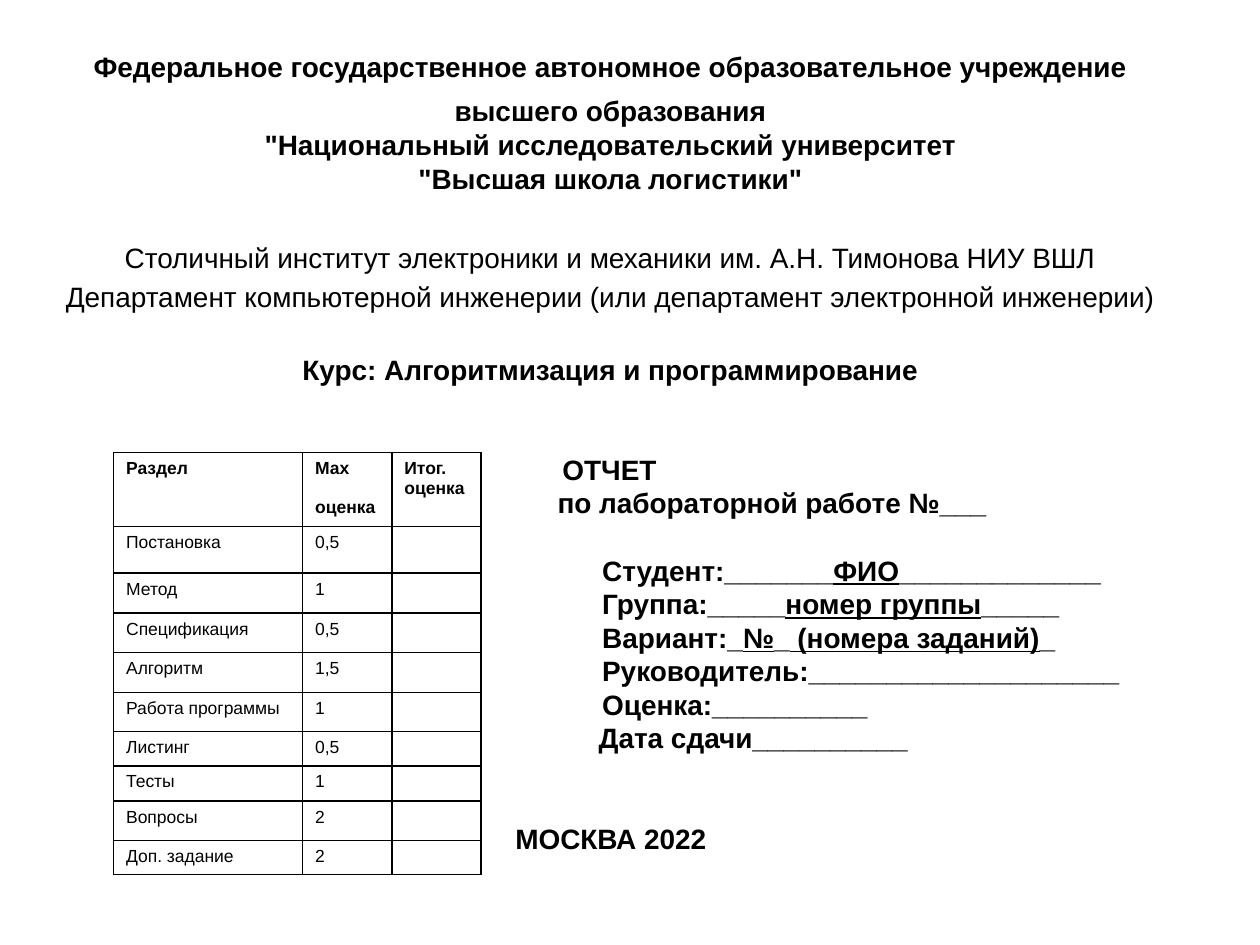
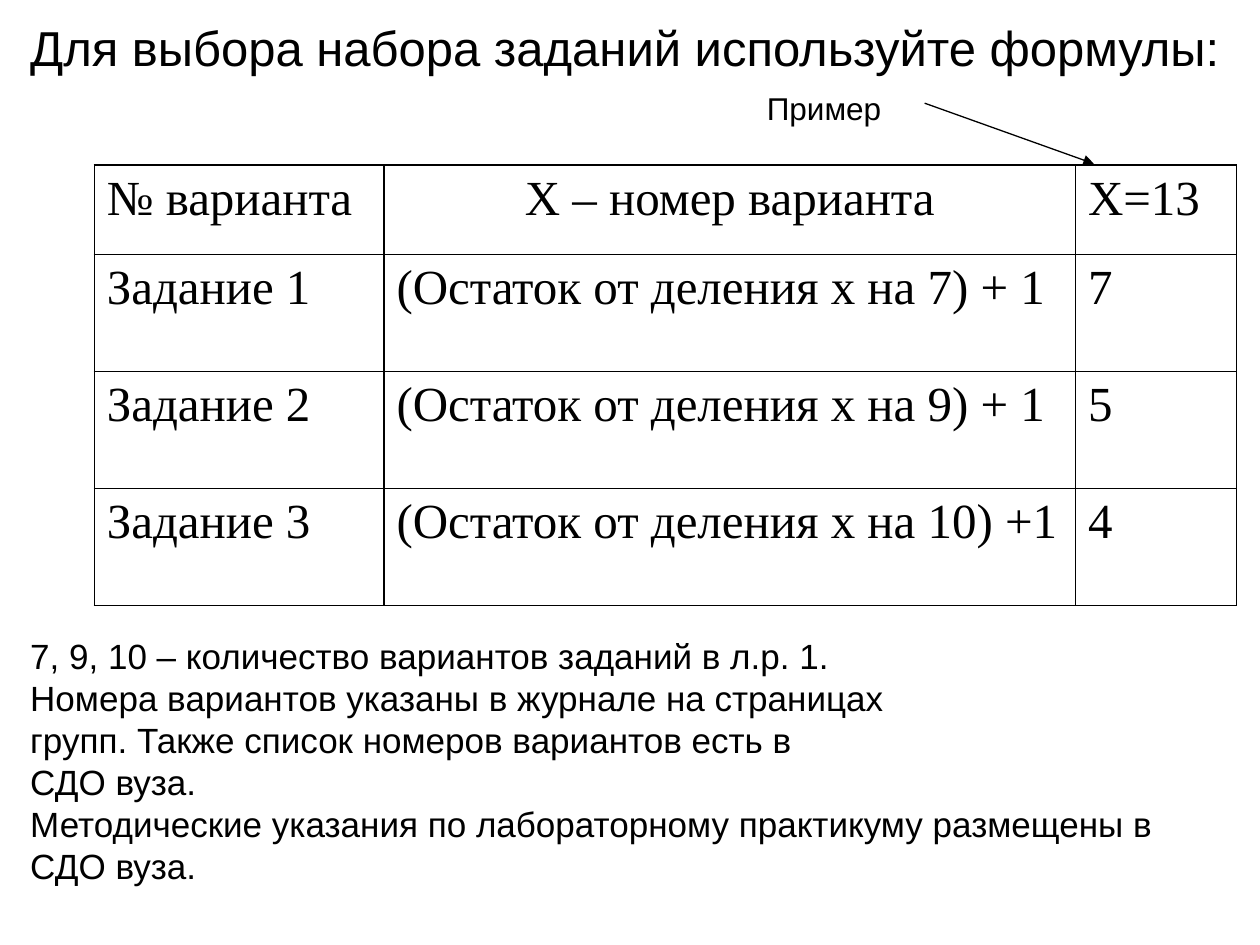
from lxml import etree
from pptx import Presentation, util as u
from pptx.dml.color import RGBColor
from pptx.enum import shapes, text
from pptx.oxml.ns import qn

BLACK, WHITE = "000000", "FFFFFF"
SANS, SERIF = "Arial", "Times New Roman"
LEFT, CENTER, JUSTIFY = text.PP_ALIGN.LEFT, text.PP_ALIGN.CENTER, text.PP_ALIGN.JUSTIFY

# Each line: space before in points, bold, runs; a run is (text, underlined).
COVER_HEADING = [
    (0, True, "Федеральное государственное автономное образовательное учреждение"),
    (6.2, True, "высшего образования"),
    (0, True, "\"Национальный исследовательский университет"),
    (0, True, "\"Высшая школа логистики\""),
    (26.2, False, "Столичный институт электроники и механики им. А.Н. Тимонова НИУ ВШЛ"),
    (3.2, False, "Департамент компьютерной инженерии (или департамент электронной инженерии)"),
    (22.5, True, "Курс: Алгоритмизация и программирование"),
]
# Each line: space before in points, left indent in cm, runs.
COVER_REPORT = [
    (37.8, 10.2, [("ОТЧЕТ", False)]),
    (0, 10.1, [("по лабораторной работе №___", False)]),
    (19.2, 11, [("Студент:_______", False), ("ФИО", True), ("_____________", False)]),
    (0, 11, [("Группа:_____", False), ("номер группы", True), ("_____", False)]),
    (0, 11, [("Вариант:_", False), ("№", True), ("_", False),
             (" (номера заданий)", True), ("_", False)]),
    (0, 11, [("Руководитель:____________________", False)]),
    (0, 11, [("Оценка:__________", False)]),
    (0, 10.93, [("Дата сдачи__________", False)]),
    (38.4, 9.25, [("МОСКВА 2022", False)]),
]
SCORES = [
    (["Раздел"], ["Маx", "оценка"], ["Итог.", "оценка"]),
    (["Постановка"], ["0,5"], []),
    (["Метод"], ["1"], []),
    (["Спецификация"], ["0,5"], []),
    (["Алгоритм"], ["1,5"], []),
    (["Работа программы"], ["1"], []),
    (["Листинг"], ["0,5"], []),
    (["Тесты"], ["1"], []),
    (["Вопросы"], ["2"], []),
    (["Доп. задание"], ["2"], []),
]
SCORE_COLUMNS = [3.81, 1.8, 1.8]
SCORE_ROWS = [1.27, 0.94, 0.81, 0.79, 0.81, 0.79, 0.69, 0.71, 0.79, 0.69]
FORMULAS = [
    (["№ варианта"], ["X – номер варианта"], ["X=13"]),
    (["Задание 1"], ["(Остаток от деления х на 7) + 1"], ["7"]),
    (["Задание 2"], ["(Остаток от деления х на 9) + 1"], ["5"]),
    (["Задание 3"], ["(Остаток от деления х на 10) +1"], ["4"]),
]
FORMULA_COLUMNS = [5.84, 13.94, 3.25]
FORMULA_ROWS = [1.8] + [2.36] * 3
NOTES = [
    "7, 9, 10 – количество вариантов заданий в л.р. 1.",
    "Номера вариантов указаны в журнале на страницах",
    "групп. Также список номеров вариантов есть в",
    "СДО вуза.",
    "Методические указания по лабораторному практикуму размещены в",
    "СДО вуза.",
]


def color(value):
    return RGBColor.from_string(value)


def add_run(paragraph, words, size, font=SANS, bold=False, underline=False):
    run = paragraph.add_run()
    run.text = words
    run.font.size, run.font.name = u.Pt(size), font
    run.font.bold, run.font.underline = bold, underline
    run.font.color.rgb = color(BLACK)


def next_paragraph(frame):
    first = frame.paragraphs[0]
    return frame.add_paragraph() if first.runs else first


def add_line(frame, runs, size, space=0, align=LEFT, bold=False, indent=0, pitch=None):
    paragraph = next_paragraph(frame)
    paragraph.alignment = align
    paragraph.space_before = u.Pt(space)
    if pitch:
        paragraph.line_spacing = u.Pt(pitch)
    if indent:
        paragraph._p.get_or_add_pPr().set("marL", str(u.Cm(indent)))
    for words, underline in runs:
        add_run(paragraph, words, size, bold=bold, underline=underline)


def add_text_box(slide, left, top, width, height, wrap=True, anchor=text.MSO_ANCHOR.TOP):
    box = slide.shapes.add_textbox(u.Cm(left), u.Cm(top), u.Cm(width), u.Cm(height))
    box.text_frame.word_wrap = wrap
    box.text_frame.vertical_anchor = anchor
    return box.text_frame


def set_borders(cell):
    properties = cell._tc.get_or_add_tcPr()
    for position, side in enumerate(("lnL", "lnR", "lnT", "lnB")):
        line = etree.Element(qn(f"a:{side}"), w=str(u.Pt(1)))
        fill = etree.SubElement(line, qn("a:solidFill"))
        etree.SubElement(fill, qn("a:srgbClr"), val=BLACK)
        properties.insert(position, line)


def add_grid(slide, left, top, columns, rows, content, style):
    frame = slide.shapes.add_table(len(rows), len(columns), u.Cm(left), u.Cm(top),
                                   u.Cm(sum(columns)), u.Cm(sum(rows)))
    table = frame.table
    table.first_row = table.horz_banding = False
    for column, width in zip(table.columns, columns):
        column.width = u.Cm(width)
    for row, height in zip(table.rows, rows):
        row.height = u.Cm(height)
    for r, row in enumerate(content):
        for c, lines in enumerate(row):
            cell = table.cell(r, c)
            cell.fill.solid()
            cell.fill.fore_color.rgb = color(WHITE)
            set_borders(cell)
            fill_cell(cell, lines, header=r == 0, middle=c == 1, **style)


def fill_cell(cell, lines, header, middle, size, font, bold_header, align, header_align, gap):
    if not lines:
        end = cell.text_frame.paragraphs[0]._p.get_or_add_endParaRPr()
        end.set("sz", str(size * 100))
    for number, words in enumerate(lines):
        paragraph = next_paragraph(cell.text_frame)
        paragraph.alignment = header_align if header and middle else align
        if number and middle:
            paragraph.space_before = u.Pt(gap)
        add_run(paragraph, words, size, font, bold=header and bold_header)


def add_arrow(slide, start, end):
    arrow = slide.shapes.add_connector(shapes.MSO_CONNECTOR.STRAIGHT,
                                       *(u.Cm(value) for value in start + end))
    arrow.line.color.rgb = color(BLACK)
    arrow.line.width = u.Pt(0.75)
    etree.SubElement(arrow.line._get_or_add_ln(), qn("a:tailEnd"), type="triangle")
    etree.SubElement(arrow._element.spPr, qn("a:effectLst"))


def build_cover(slide):
    frame = add_text_box(slide, 0.89, 0.79, 22.83, 16.66, anchor=text.MSO_ANCHOR.MIDDLE)
    for space, bold, words in COVER_HEADING:
        add_line(frame, [(words, False)], 16, space, CENTER, bold, pitch=19.2)
    for space, indent, runs in COVER_REPORT:
        add_line(frame, runs, 16, space, bold=True, indent=indent, pitch=19.2)
    add_grid(slide, 2.29, 9.12, SCORE_COLUMNS, SCORE_ROWS, SCORES,
             dict(size=10, font=SANS, bold_header=True, align=LEFT, header_align=LEFT, gap=11))


def build_formulas(slide):
    title = add_text_box(slide, 0.36, 0.23, 24.61, 2.59, wrap=False)
    add_line(title, [("Для выбора набора заданий используйте формулы:", False)], 28)
    add_grid(slide, 1.9, 3.33, FORMULA_COLUMNS, FORMULA_ROWS, FORMULAS,
             dict(size=28, font=SERIF, bold_header=False, align=JUSTIFY,
                  header_align=CENTER, gap=0))
    example = add_text_box(slide, 15.21, 1.68, 3.2, 1.02)
    add_line(example, [("Пример", False)], 18)
    add_arrow(slide, (18.64, 2.08), (22.05, 3.3))
    notes = add_text_box(slide, 0.36, 12.67, 24.69, 6.58)
    for words in NOTES:
        add_line(notes, [(words, False)], 20, pitch=24)


def main():
    """Build the report cover and the task selection slide."""
    presentation = Presentation()
    presentation.slide_width, presentation.slide_height = u.Cm(25.4), u.Cm(19.05)
    for build in (build_cover, build_formulas):
        build(presentation.slides.add_slide(presentation.slide_layouts[6]))
    presentation.save("out.pptx")


if __name__ == "__main__":
    main()
